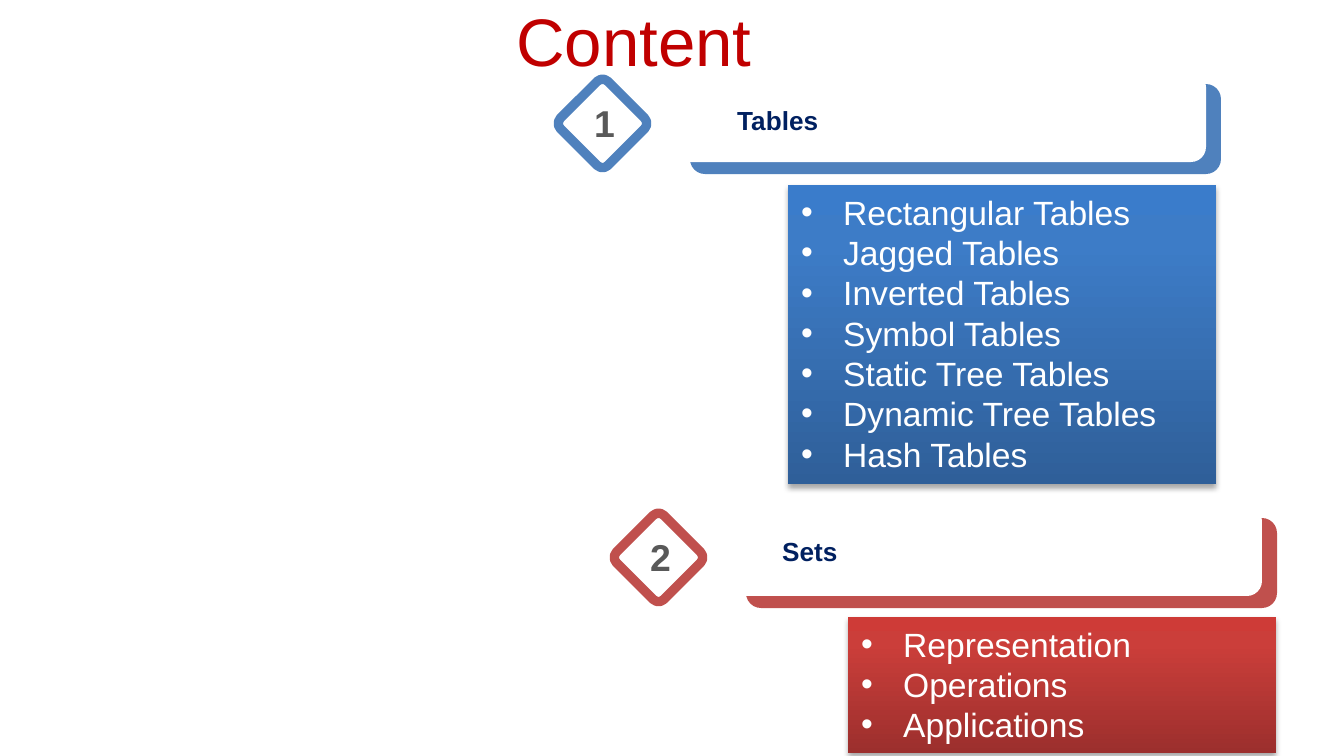
"""Builds the Content slide: two numbered sections with their topic lists."""
from dataclasses import dataclass

from lxml import etree
from pptx import Presentation
from pptx import util as u
from pptx.dml.color import RGBColor
from pptx.enum import shapes, text
from pptx.oxml.ns import qn

PX = 914400 / 134.4
INDENT = 42
WHITE = "FFFFFF"


@dataclass
class Box:
    left: int
    top: int
    width: int
    height: int

    def shifted(self, dx: int, dy: int) -> "Box":
        return Box(self.left + dx, self.top + dy, self.width, self.height)

    def emu(self) -> list[int]:
        return [px(v) for v in (self.left, self.top, self.width, self.height)]


@dataclass
class Section:
    number: str
    heading: str
    colour: str
    gradient: list[tuple[int, str]]
    shift: tuple[int, int]
    heading_box: Box
    topics_box: Box
    topics: list[str]


ACCENT = Box(690, 84, 531, 90)
CARD = Box(675, 72, 531, 90)
DIAMOND = Box(569, 90, 67, 67)
NUMBER = Box(581, 94, 44, 59)

SECTIONS = [
    Section("1", "Tables", "4F81BD",
            [(0, "2F5F99"), (80, "3D7CC7"), (100, "3A7CCB")], (0, 0),
            Box(724, 97, 445, 46), Box(788, 185, 428, 299),
            ["Rectangular Tables", "Jagged Tables", "Inverted Tables", "Symbol Tables",
             "Static Tree Tables", "Dynamic Tree Tables", "Hash Tables"]),
    Section("2", "Sets", "C0504D",
            [(0, "9C2F2D"), (80, "CB3E3A"), (100, "CE3B37")], (56, 434),
            Box(769, 528, 460, 46), Box(848, 617, 428, 136),
            ["Representation", "Operations", "Applications"]),
]


def px(value: int) -> int:
    return round(value * PX)


def rgb(colour: str) -> RGBColor:
    return RGBColor.from_string(colour)


def style(paragraph, size: int, colour: str, bold: bool = False) -> None:
    font = paragraph.font
    font.name, font.size, font.bold = "Arial", u.Pt(size), bold
    font.color.rgb = rgb(colour)


def add_label(slide, box: Box, words: str, size: int, colour: str, bold: bool = False,
              align=text.PP_ALIGN.LEFT, anchor=text.MSO_ANCHOR.MIDDLE) -> None:
    frame = slide.shapes.add_textbox(*box.emu()).text_frame
    frame.word_wrap = True
    frame.vertical_anchor = anchor
    paragraph = frame.paragraphs[0]
    paragraph.text = words
    paragraph.alignment = align
    style(paragraph, size, colour, bold)


def add_rounded(slide, box: Box, fill: str):
    rounded = slide.shapes.add_shape(shapes.MSO_SHAPE.ROUNDED_RECTANGLE, *box.emu())
    rounded.shadow.inherit = False
    rounded.fill.solid()
    rounded.fill.fore_color.rgb = rgb(fill)
    rounded.line.fill.background()
    return rounded


def add_colour(parent, colour: str):
    return etree.SubElement(parent, qn("a:srgbClr"), val=colour)


def add_gradient(panel, stops: list[tuple[int, str]]) -> None:
    panel.fill.gradient()
    panel.fill.gradient_angle = 90
    stop_list = panel.element.spPr.find(".//" + qn("a:gsLst"))
    for stop in list(stop_list):
        stop_list.remove(stop)
    for position, colour in stops:
        add_colour(etree.SubElement(stop_list, qn("a:gs"), pos=str(position * 1000)), colour)


def add_shadow(panel) -> None:
    panel.shadow.inherit = False
    effects = panel.element.spPr.find(qn("a:effectLst"))
    shadow = etree.SubElement(effects, qn("a:outerShdw"), blurRad=str(u.Pt(3.1)),
                              dist=str(u.Pt(1.8)), dir="5400000", rotWithShape="0")
    etree.SubElement(add_colour(shadow, "000000"), qn("a:alpha"), val="35000")


def add_topics(slide, section: Section) -> None:
    panel = slide.shapes.add_shape(shapes.MSO_SHAPE.RECTANGLE, *section.topics_box.emu())
    add_gradient(panel, section.gradient)
    panel.line.fill.background()
    add_shadow(panel)
    frame = panel.text_frame
    frame.word_wrap = True
    frame.vertical_anchor = text.MSO_ANCHOR.TOP
    for index, topic in enumerate(section.topics):
        paragraph = frame.add_paragraph() if index else frame.paragraphs[0]
        paragraph.text = topic
        paragraph.alignment = text.PP_ALIGN.LEFT
        properties = paragraph._p.get_or_add_pPr()
        properties.set("marL", str(px(INDENT)))
        properties.set("indent", str(-px(INDENT)))
        etree.SubElement(properties, qn("a:buFont"), typeface="Arial")
        etree.SubElement(properties, qn("a:buChar"), char="•")
        style(paragraph, 18, WHITE)


def add_header(slide, section: Section) -> None:
    add_rounded(slide, ACCENT.shifted(*section.shift), section.colour)
    add_rounded(slide, CARD.shifted(*section.shift), WHITE)
    add_label(slide, section.heading_box, section.heading, 14, "002060", bold=True)
    diamond = add_rounded(slide, DIAMOND.shifted(*section.shift), WHITE)
    diamond.adjustments[0] = 0.11
    diamond.rotation = 45
    diamond.line.color.rgb = rgb(section.colour)
    diamond.line.width = u.Pt(5)
    add_label(slide, NUMBER.shifted(*section.shift), section.number, 20, "595959", bold=True,
              align=text.PP_ALIGN.CENTER, anchor=text.MSO_ANCHOR.TOP)


def main() -> None:
    deck = Presentation()
    deck.slide_width, deck.slide_height = px(1344), px(756)
    slide = deck.slides.add_slide(deck.slide_layouts[6])
    add_label(slide, Box(503, -3, 841, 85), "Content", 36, "C00000")
    for section in SECTIONS:
        add_header(slide, section)
    for section in SECTIONS:
        add_topics(slide, section)
    deck.save("out.pptx")


if __name__ == "__main__":
    main()
